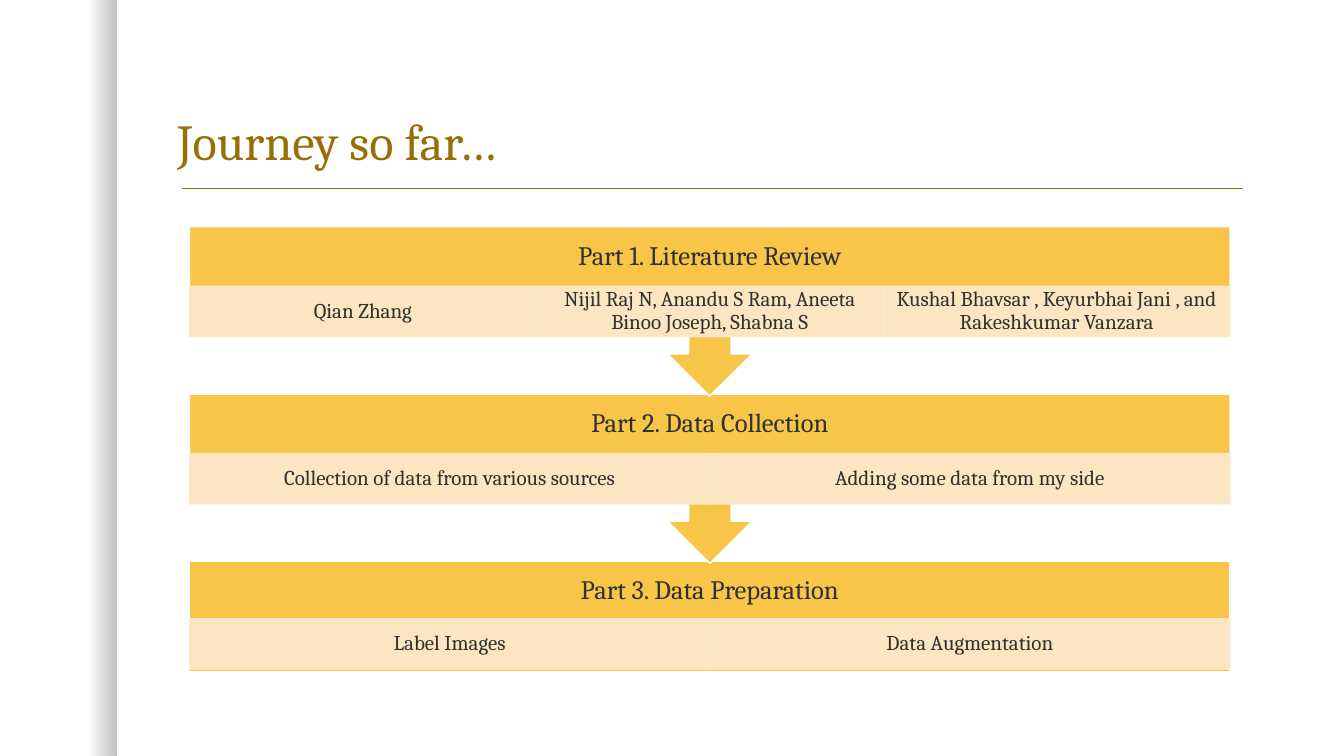
from lxml import etree
from pptx import Presentation
from pptx.dml.color import RGBColor
from pptx.enum.shapes import MSO_CONNECTOR, MSO_SHAPE
from pptx.enum.text import MSO_ANCHOR, PP_ALIGN
from pptx.oxml.ns import qn
from pptx.util import Inches, Pt

# Content
TITLE = "Journey so far…"
PARTS = [
    ("Part 1. Literature Review", [
        "Qian Zhang",
        "Nijil Raj N, Anandu S Ram, Aneeta Binoo Joseph, Shabna S",
        "Kushal Bhavsar , Keyurbhai Jani , and Rakeshkumar Vanzara",
    ]),
    ("Part 2. Data Collection", [
        "Collection of data from various sources",
        "Adding some data from my side",
    ]),
    ("Part 3. Data Preparation", ["Label Images", "Data Augmentation"]),
]

# Style
FONT = "Cambria"
BLACK = RGBColor(0x00, 0x00, 0x00)
WHITE = RGBColor(0xFF, 0xFF, 0xFF)
BROWN = RGBColor(0x98, 0x6F, 0x07)
GOLD = RGBColor(0xF7, 0xC5, 0x47)
CREAM = RGBColor(0xFC, 0xEA, 0xCF)
INK = RGBColor(0x30, 0x30, 0x30)
RECTANGLE = MSO_SHAPE.RECTANGLE
CALLOUT = MSO_SHAPE.UP_ARROW_CALLOUT
LEFT, CENTER = PP_ALIGN.LEFT, PP_ALIGN.CENTER
MIDDLE, BOTTOM = MSO_ANCHOR.MIDDLE, MSO_ANCHOR.BOTTOM

# Layout in inches
WIDTH, HEIGHT = 13.33, 7.5
FLOW_LEFT, FLOW_TOP, FLOW_WIDTH = 1.88, 2.25, 10.32
STEP = 1.66
CALLOUT_HEIGHT, LAST_HEIGHT = 1.68, 1.09
HEADER_HEIGHT, CELL_HEIGHT = 0.59, 0.5
CELL_OFFSETS = (0.59, 0.59, 0.57)


def set_alpha(colour, percent):
    etree.SubElement(colour, qn("a:alpha")).set("val", str(percent * 1000))


def add_block(slide, kind, box, fill, line):
    shape = slide.shapes.add_shape(kind, *map(Inches, box))
    shape.shadow.inherit = False
    shape.fill.solid()
    shape.fill.fore_color.rgb = fill
    shape.line.color.rgb = line
    shape.line.width = Pt(1)
    return shape


def write(shape, text, size, colour, align, anchor, margins):
    frame = shape.text_frame
    frame.word_wrap = True
    frame.vertical_anchor = anchor
    frame.margin_left = frame.margin_right = Inches(margins[0])
    frame.margin_top = frame.margin_bottom = Inches(margins[1])
    paragraph = frame.paragraphs[0]
    paragraph.alignment = align
    paragraph.line_spacing = 0.9
    run = paragraph.add_run()
    run.text = text
    run.font.name = FONT
    run.font.size = Pt(size)
    run.font.color.rgb = colour


def add_text(slide, box, *style):
    write(slide.shapes.add_textbox(*map(Inches, box)), *style)


def add_side_band(slide):
    band = slide.shapes.add_shape(RECTANGLE, 0, 0, Inches(1.16), Inches(HEIGHT))
    band.shadow.inherit = False
    band.line.fill.background()
    band.fill.gradient()
    band.fill.gradient_angle = 0
    for stop, position in zip(band.fill.gradient_stops, (0.75, 1)):
        stop.position = position
        stop.color.rgb = BLACK
    colours = list(band.element.spPr.iter(qn("a:srgbClr")))
    for colour, percent in zip(colours, (0, 25)):
        set_alpha(colour, percent)


def add_title(slide):
    rule = slide.shapes.add_connector(
        MSO_CONNECTOR.STRAIGHT, *map(Inches, (1.81, 1.87, 12.33, 1.87)))
    rule.line.color.rgb = BROWN
    rule.line.width = Pt(1)
    etree.SubElement(rule.element.spPr, qn("a:effectLst"))
    add_text(slide, (1.66, 0.42, 10.75, 1.33),
             TITLE, 36, BROWN, LEFT, BOTTOM, (0.1, 0.05))


def add_part(slide, index):
    heading, items = PARTS[index]
    top = FLOW_TOP + index * STEP
    is_last = index == len(PARTS) - 1

    # Gold block, with a down arrow unless it is the last part
    kind, height = (RECTANGLE, LAST_HEIGHT) if is_last else (CALLOUT, CALLOUT_HEIGHT)
    block = add_block(slide, kind, (FLOW_LEFT, top, FLOW_WIDTH, height), GOLD, WHITE)
    block.rotation = 0 if is_last else 180
    add_text(slide, (FLOW_LEFT, top, FLOW_WIDTH, HEADER_HEIGHT),
             heading, 19, INK, CENTER, MIDDLE, (0.15, 0.15))

    # Row of equal cells
    cell_width = FLOW_WIDTH / len(items)
    for column, item in enumerate(items):
        box = (FLOW_LEFT + column * cell_width, top + CELL_OFFSETS[index],
               cell_width, CELL_HEIGHT)
        cell = add_block(slide, RECTANGLE, box, CREAM, CREAM)
        for colour in list(cell.element.spPr.iter(qn("a:srgbClr"))):
            set_alpha(colour, 90)
        write(cell, item, 15, INK, CENTER, MIDDLE, (0.12, 0.02))


def main():
    presentation = Presentation()
    presentation.slide_width = Inches(WIDTH)
    presentation.slide_height = Inches(HEIGHT)
    slide = presentation.slides.add_slide(presentation.slide_layouts[6])
    add_side_band(slide)
    add_title(slide)
    # Bottom part first, so each arrow tip lies over the next block
    for index in reversed(range(len(PARTS))):
        add_part(slide, index)
    presentation.save("out.pptx")


if __name__ == "__main__":
    main()
